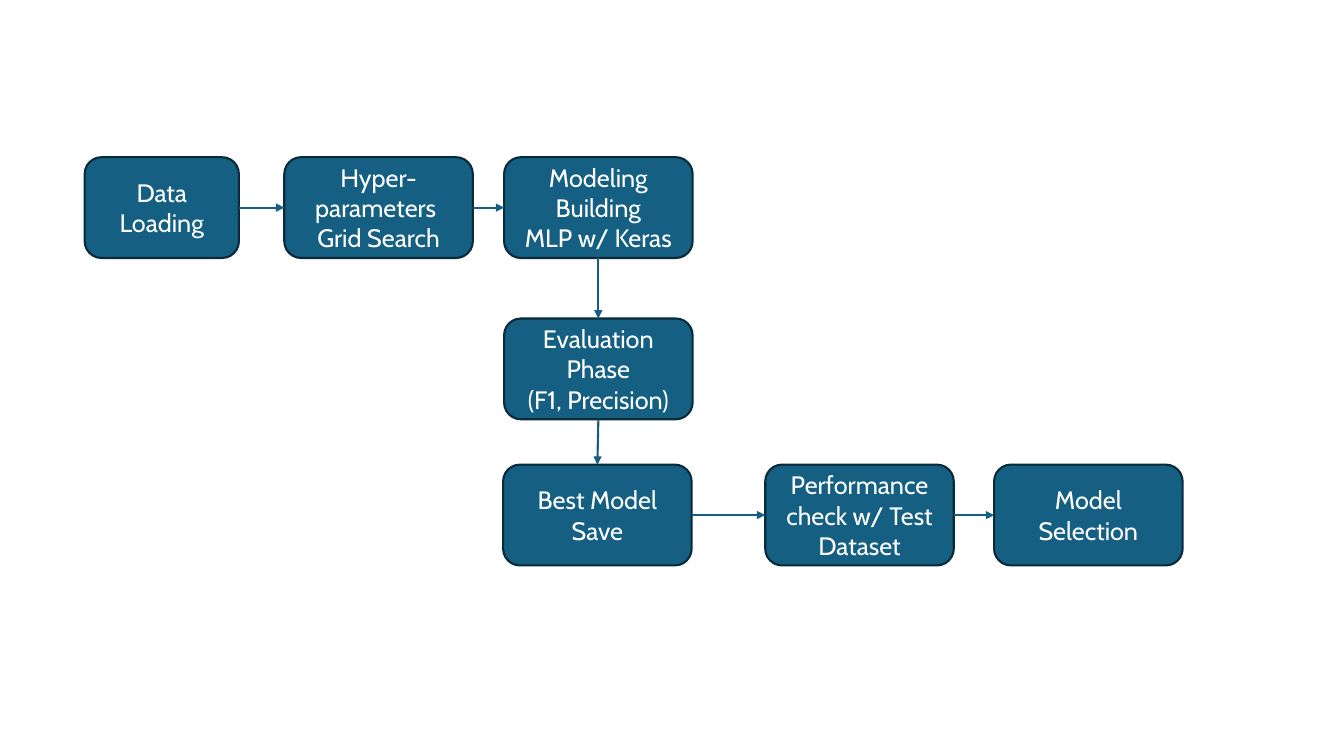
from pptx import Presentation
from pptx.dml.color import RGBColor
from pptx.enum.shapes import MSO_CONNECTOR, MSO_SHAPE
from pptx.enum.text import MSO_ANCHOR, PP_ALIGN
from pptx.oxml.ns import qn
from pptx.util import Inches, Pt
from lxml.etree import SubElement

TEAL = RGBColor(0x15, 0x60, 0x82)
DARK_TEAL = RGBColor(0x09, 0x2A, 0x39)
WHITE = RGBColor(0xFF, 0xFF, 0xFF)

STEP_FONT = {"name": "Cabin", "size": Pt(18)}
LINE_WIDTH = Pt(1.5)
STEP_WIDTH, STEP_HEIGHT = 1.87, 1
TOP_ROW, MIDDLE_ROW, BOTTOM_ROW = 1.56, 3.16, 4.61

# Connection sites of a rounded rectangle
TOP, LEFT, BOTTOM, RIGHT = range(4)

# Name: left, top, width, text (\n starts a paragraph, \v breaks a line)
STEPS = {
    "load": (0.84, TOP_ROW, 1.53, "Data Loading"),
    "search": (2.82, TOP_ROW, STEP_WIDTH, "Hyper-parameters \vGrid Search"),
    "build": (5, TOP_ROW, STEP_WIDTH, "Modeling Building\nMLP w/ Keras"),
    "evaluate": (5, MIDDLE_ROW, STEP_WIDTH, "Evaluation Phase\v(F1, Precision)"),
    "save": (4.99, BOTTOM_ROW, STEP_WIDTH, "Best Model Save"),
    "check": (7.59, BOTTOM_ROW, STEP_WIDTH, "Performance check w/ Test Dataset"),
    "select": (9.86, BOTTOM_ROW, STEP_WIDTH, "Model Selection"),
}

ARROWS = [
    ("load", RIGHT, "search", LEFT),
    ("search", RIGHT, "build", LEFT),
    ("build", BOTTOM, "evaluate", TOP),
    ("evaluate", BOTTOM, "save", TOP),
    ("save", RIGHT, "check", LEFT),
    ("check", RIGHT, "select", LEFT),
]


def add_step(page, left, top, width, text):
    box = page.shapes.add_shape(
        MSO_SHAPE.ROUNDED_RECTANGLE,
        Inches(left), Inches(top), Inches(width), Inches(STEP_HEIGHT))
    box.shadow.inherit = False
    box.fill.solid()
    box.fill.fore_color.rgb = TEAL
    box.line.color.rgb = DARK_TEAL
    box.line.width = LINE_WIDTH
    frame = box.text_frame
    frame.word_wrap = True
    frame.vertical_anchor = MSO_ANCHOR.MIDDLE
    frame.text = text
    for para in frame.paragraphs:
        para.alignment = PP_ALIGN.CENTER
        for span in para.runs:
            for key, value in STEP_FONT.items():
                setattr(span.font, key, value)
            span.font.color.rgb = WHITE
    return box


def add_arrow(page, source, source_site, target, target_site):
    arrow = page.shapes.add_connector(MSO_CONNECTOR.STRAIGHT, 0, 0, 0, 0)
    arrow.begin_connect(source, source_site)
    arrow.end_connect(target, target_site)
    arrow.line.color.rgb = TEAL
    arrow.line.width = LINE_WIDTH
    # Arrowhead at the target, and no shadow
    SubElement(arrow.line._get_or_add_ln(), qn("a:tailEnd"), type="triangle")
    SubElement(arrow._element.spPr, qn("a:effectLst"))


def main():
    deck = Presentation()
    deck.slide_width, deck.slide_height = Inches(13.33), Inches(7.5)
    page = deck.slides.add_slide(deck.slide_layouts[6])

    # Workflow steps
    boxes = {name: add_step(page, *step) for name, step in STEPS.items()}

    # Arrows between the steps
    for source, source_site, target, target_site in ARROWS:
        add_arrow(page, boxes[source], source_site, boxes[target], target_site)

    deck.save("out.pptx")


if __name__ == "__main__":
    main()
